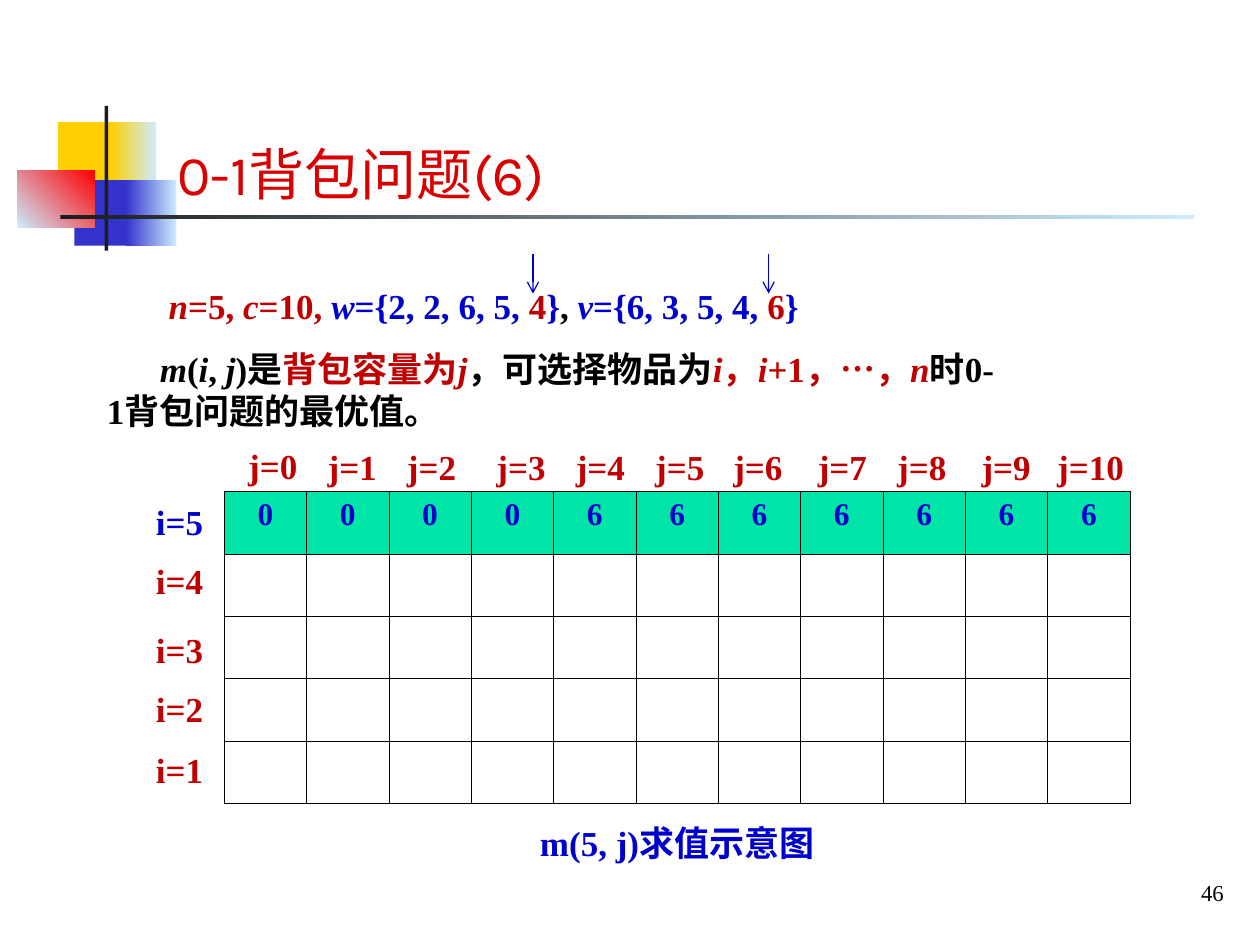
from lxml import etree
from pptx import Presentation, util as u
from pptx.dml.color import RGBColor
from pptx.enum import shapes, text
from pptx.oxml import ns

RED, BLUE, BLACK, PALE = "C00000", "0000CC", "000000", "CCECFF"
SERIF = "Times New Roman"


def rgb(color):
    return RGBColor.from_string(color)


def write(frame, runs, align=text.PP_ALIGN.LEFT, **shared):
    """Fill the first paragraph with (wording, color, italic) runs sharing font values."""
    paragraph = frame.paragraphs[0]
    paragraph.alignment = align
    for wording, color, italic in runs:
        run = paragraph.add_run()
        run.text = wording
        run.font.color.rgb = rgb(color)
        font_values = {"name": SERIF, "size": u.Pt(20), "bold": True, "italic": italic}
        for key, value in (font_values | shared).items():
            setattr(run.font, key, value)
    return paragraph


deck = Presentation()
deck.slide_width, deck.slide_height = u.Inches(10), u.Inches(7.5)
slide = deck.slides.add_slide(deck.slide_layouts[6])

# Corner ornament: box, start color, end color, gradient angle
ornament = [
    ((0.46, 0.97, 0.48, 0.52), "FFCF01", None, 0),
    ((0.88, 0.97, 0.36, 0.52), "FFCF01", PALE, 0),
    ((0.59, 1.43, 0.46, 0.52), "3333CC", None, 0),
    ((1, 1.43, 0.4, 0.52), "3333CC", PALE, 0),
    ((0.14, 1.35, 0.61, 0.46), PALE, "FF0000", 45),
    ((0.83, 0.84, 0.03, 1.15), "1C1C1C", None, 0),
    ((0.48, 1.71, 9, 0.03), "1C1C1C", PALE, 0),
]
for box, start, end, angle in ornament:
    block = slide.shapes.add_shape(shapes.MSO_SHAPE.RECTANGLE, *map(u.Inches, box))
    block.shadow.inherit = False
    block.line.fill.background()
    if end:
        block.fill.gradient()
        block.fill.gradient_angle = angle
        for stop, color in zip(block.fill.gradient_stops, (start, end)):
            stop.color.rgb = rgb(color)
    else:
        block.fill.solid()
        block.fill.fore_color.rgb = rgb(start)

# Title and page number
title = slide.shapes.add_textbox(*map(u.Inches, (1.31, 0.6, 8.42, 1.09))).text_frame
title.word_wrap = True
title.vertical_anchor = text.MSO_ANCHOR.BOTTOM
write(title, [("0-1背包问题(6)", "D80000", False)], name="Karla", size=u.Pt(32), bold=False)

page = slide.shapes.add_textbox(*map(u.Inches, (7.9, 6.9, 1.91, 0.37))).text_frame
page.word_wrap = True
page.vertical_anchor = text.MSO_ANCHOR.MIDDLE
write(page, [("46", BLACK, False)], text.PP_ALIGN.RIGHT, size=u.Pt(13), bold=False)

# Problem instance and definition
instance = slide.shapes.add_textbox(*map(u.Inches, (1.24, 2.21, 5.27, 0.44))).text_frame
instance.word_wrap = False
write(instance, [
    ("n", RED, True), ("=5, ", RED, False), ("c", RED, True), ("=10, ", RED, False),
    ("w", BLUE, True), ("={2, 2, 6, 5, ", BLUE, False), ("4", RED, False), ("}", BLUE, False),
    (", ", BLACK, False),
    ("v", BLUE, True), ("={6, 3, 5, 4, ", BLUE, False), ("6", RED, False), ("}", BLUE, False),
])

definition = slide.shapes.add_textbox(*map(u.Inches, (0.75, 2.71, 7.24, 0.77))).text_frame
definition.word_wrap = True
sentence = write(definition, [
    ("m", BLACK, True), ("(", BLACK, False), ("i", BLACK, True), (", ", BLACK, False),
    ("j", BLACK, True), (")是", BLACK, False), ("背包容量为", RED, False), ("j", RED, True),
    ("，可选择物品为", BLACK, False), ("i", RED, True), ("，", RED, False), ("i", RED, True),
    ("+1，…，", RED, False), ("n", RED, True), ("时0-1背包问题的最优值。", BLACK, False),
])
sentence._p.get_or_add_pPr().set("indent", str(u.Inches(0.42)))

# Value table: only the row i=5 is known
known_values = [0] * 4 + [6] * 7
values = slide.shapes.add_table(
    5, len(known_values), *map(u.Inches, (1.78, 3.9, 7.19, 2.48))).table
values.first_row = values.horz_banding = False
for row_number, row in enumerate(values.rows):
    for cell, value in zip(row.cells, known_values):
        cell_format = cell._tc.get_or_add_tcPr()
        for side in ("a:lnL", "a:lnR", "a:lnT", "a:lnB"):
            border = etree.SubElement(cell_format, ns.qn(side), w=str(u.Pt(0.45)))
            paint = etree.SubElement(border, ns.qn("a:solidFill"))
            etree.SubElement(paint, ns.qn("a:srgbClr"), val=BLACK)
        if row_number == 0:
            cell.fill.solid()
            cell.fill.fore_color.rgb = rgb("00E4A8")
            write(cell.text_frame, [(str(value), BLUE, False)],
                  text.PP_ALIGN.CENTER, size=u.Pt(18))
        else:
            cell.fill.background()

# Row and column labels, and the caption
row_tops = [3.92, 4.39, 4.94, 5.41, 5.89]
column_lefts = [1.87, 2.5, 3.13, 3.84, 4.47, 5.1, 5.72, 6.39, 7.02, 7.69, 8.29]
labels = [(f"i={5 - k}", 1.13, top, 0.59, RED if k else BLUE)
          for k, top in enumerate(row_tops)]
labels += [(f"j={j}", left, 3.49 if j else 3.48, 0.73 if j == 10 else 0.59, RED)
           for j, left in enumerate(column_lefts)]
labels.append(("m(5, j)求值示意图", 4.12, 6.47, 2.51, BLUE))
for wording, left, top, width, color in labels:
    label = slide.shapes.add_textbox(*map(u.Inches, (left, top, width, 0.44))).text_frame
    label.word_wrap = False
    label.auto_size = text.MSO_AUTO_SIZE.SHAPE_TO_FIT_TEXT
    write(label, [(wording, color, False)], text.PP_ALIGN.CENTER)

# Arrows to the weight and value of item 5
for x in (6.1, 4.23):
    pointer = slide.shapes.add_connector(
        shapes.MSO_CONNECTOR.STRAIGHT, *map(u.Inches, (x, 2.02, x, 2.33)))
    pointer.line.color.rgb = rgb(BLUE)
    pointer.line.width = u.Pt(0.75)
    etree.SubElement(pointer.line._get_or_add_ln(), ns.qn("a:tailEnd"), type="arrow")
    etree.SubElement(pointer._element.spPr, ns.qn("a:effectLst"))

deck.save("out.pptx")
